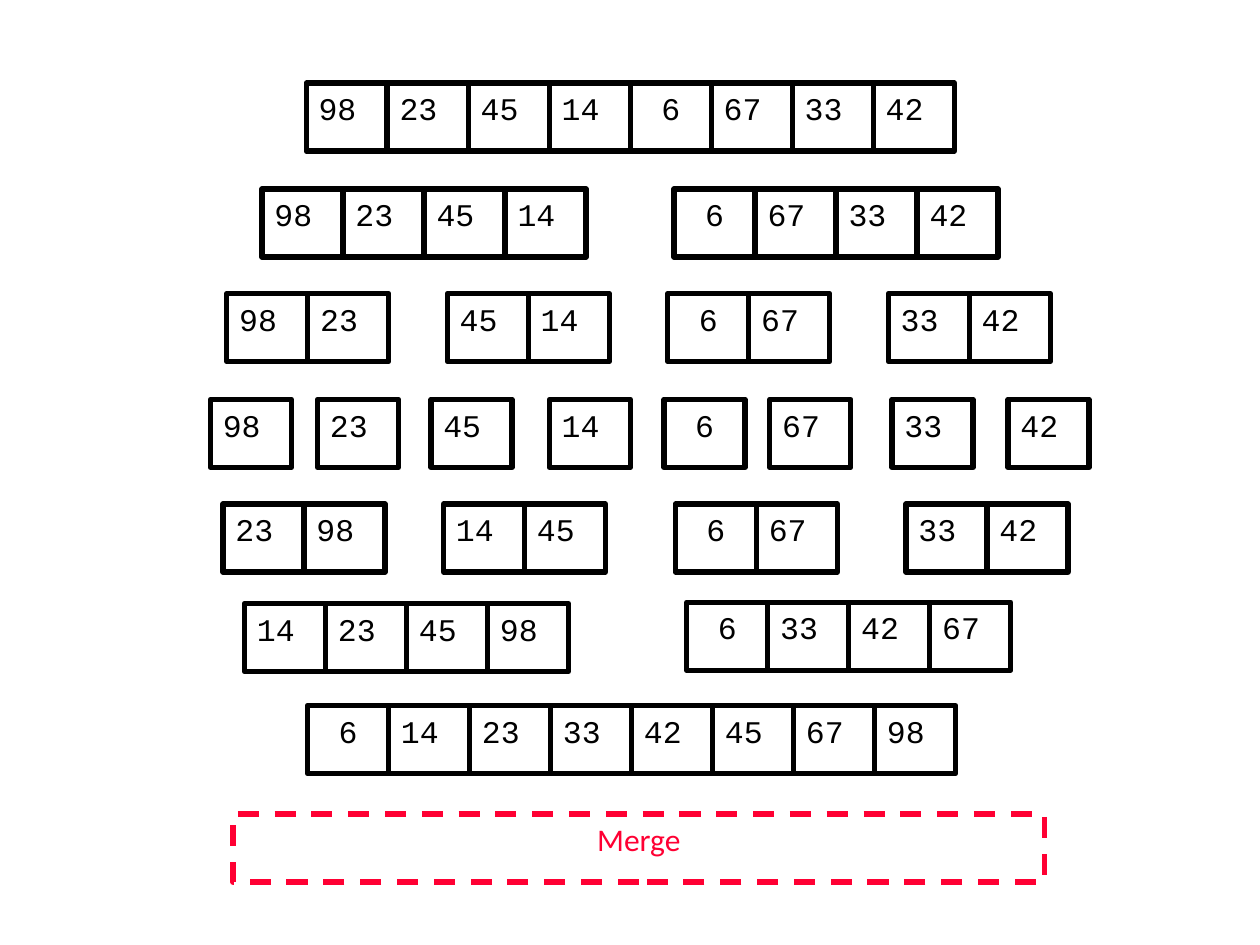
from dataclasses import dataclass

from pptx import Presentation
from pptx.dml.color import RGBColor
from pptx.enum.dml import MSO_LINE
from pptx.enum.shapes import MSO_SHAPE
from pptx.enum.text import MSO_ANCHOR, PP_ALIGN
from pptx.util import Inches, Pt

RECT = MSO_SHAPE.RECTANGLE
DASH = MSO_LINE.DASH
TOP = MSO_ANCHOR.TOP
LEFT, CENTER = PP_ALIGN.LEFT, PP_ALIGN.CENTER


@dataclass(frozen=True)
class Theme:
    """Colours, fonts and sizes of the slide."""
    ink: RGBColor = RGBColor(0x00, 0x00, 0x00)
    accent: RGBColor = RGBColor(0xFF, 0x00, 0x33)
    number_font: str = "Courier New"
    label_font: str = "Calibri"
    text_size: Pt = Pt(18)
    line_width: Pt = Pt(3)


THEME = Theme()
CELL_W, CELL_H = 0.643, 0.54

LEVELS = [
    [(2.43, 0.66, [98, 23, 45, 14, 6, 67, 33, 42])],
    [(2.08, 1.5, [98, 23, 45, 14]), (5.35, 1.5, [6, 67, 33, 42])],
    [(1.8, 2.33, [98, 23]), (3.55, 2.33, [45, 14]),
     (5.3, 2.33, [6, 67]), (7.05, 2.33, [33, 42])],
    [(1.67, 3.17, [98]), (2.52, 3.17, [23]), (3.42, 3.17, [45]), (4.36, 3.17, [14]),
     (5.27, 3.17, [6]), (6.11, 3.17, [67]), (7.08, 3.17, [33]), (8, 3.17, [42])],
    [(1.77, 4, [23, 98]), (3.52, 4, [14, 45]),
     (5.36, 4, [6, 67]), (7.19, 4, [33, 42])],
    [(1.94, 4.79, [14, 23, 45, 98]), (5.45, 4.78, [6, 33, 42, 67])],
    [(2.44, 5.6, [6, 14, 23, 33, 42, 45, 67, 98])],
]


def add_box(s, x, y, w, h, text, color, font, align, wrap):
    """Add an outlined rectangle with one line of text at its top."""
    sp = s.shapes.add_shape(RECT, Inches(x), Inches(y), Inches(w), Inches(h))
    sp.shadow.inherit = False
    sp.fill.background()
    sp.line.color.rgb = color
    sp.line.width = THEME.line_width
    tf = sp.text_frame
    tf.text = text
    tf.word_wrap = wrap
    tf.vertical_anchor = TOP
    p = tf.paragraphs[0]
    p.alignment = align
    r = p.runs[0]
    r.font.name = font
    r.font.size = THEME.text_size
    r.font.color.rgb = color
    return sp


def add_array(s, x, y, values):
    """Add a row of touching cells, centring single digits."""
    for i, value in enumerate(values):
        align = CENTER if value < 10 else LEFT
        add_box(s, x + i * CELL_W, y, CELL_W, CELL_H, str(value),
                THEME.ink, THEME.number_font, align, False)


def add_step_label(s, x, y, w, h, text):
    """Add the dashed box that names the current step."""
    sp = add_box(s, x, y, w, h, text, THEME.accent, THEME.label_font, CENTER, True)
    sp.line.dash_style = DASH


def main():
    """Build the merge sort slide."""
    prs = Presentation()
    prs.slide_width, prs.slide_height = Inches(10), Inches(7.5)
    s = prs.slides.add_slide(prs.slide_layouts[6])
    for level in LEVELS:
        for x, y, values in level:
            add_array(s, x, y, values)
    add_step_label(s, 1.85, 6.46, 6.44, CELL_H, "Merge")
    prs.save("out.pptx")


if __name__ == "__main__":
    main()
